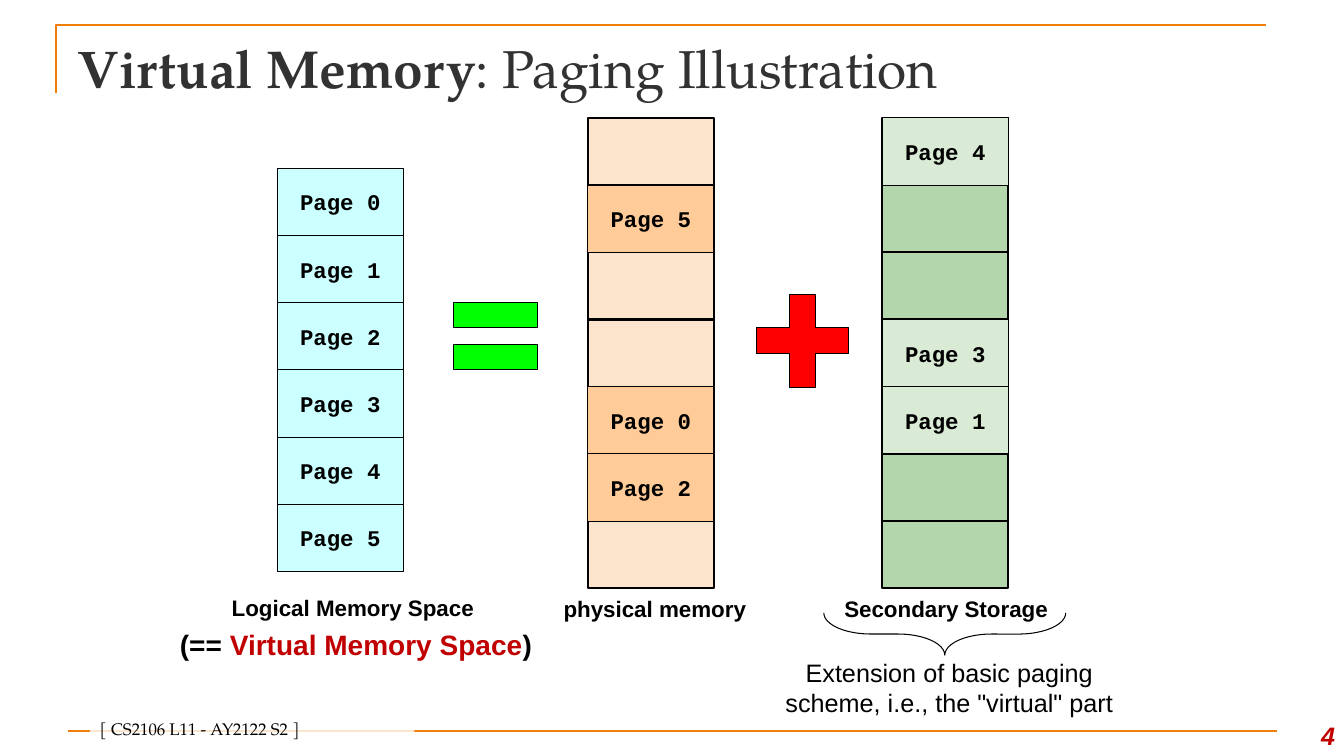
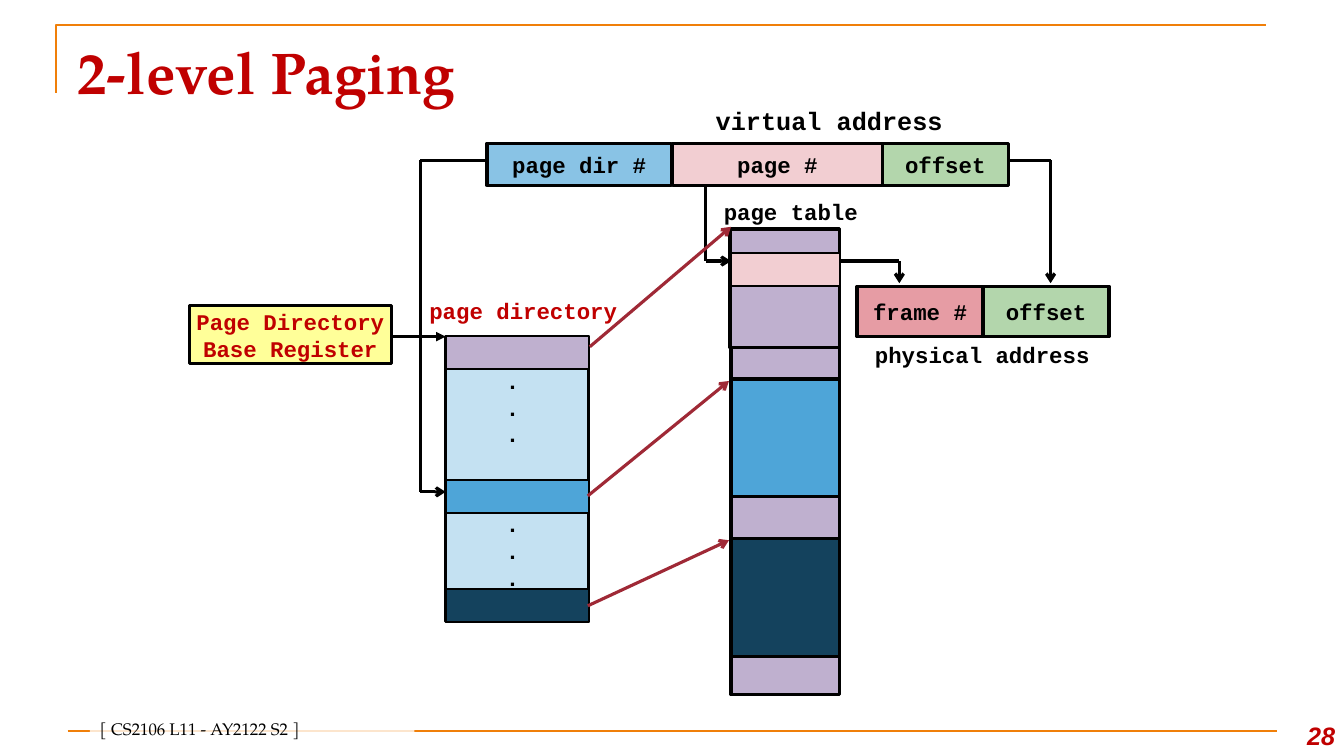
"""Build two lecture slides about virtual memory and paging."""
from dataclasses import dataclass, replace

from lxml.etree import SubElement
from pptx import Presentation
from pptx.dml.color import RGBColor
from pptx.enum.shapes import MSO_CONNECTOR, MSO_SHAPE
from pptx.enum.text import MSO_ANCHOR, MSO_AUTO_SIZE, PP_ALIGN
from pptx.oxml.ns import qn
from pptx.util import Inches, Pt

COLORS = {
    "black": "000000", "white": "FFFFFF", "orange": "F07F09", "title": "323232",
    "red": "C00000", "logical": "CCFFFF", "frame": "FDE5CD", "resident": "FFCC99",
    "storage": "B3D6AC", "stored": "D9EAD5", "plus": "FF0000", "equals": "00FF00",
    "lilac": "BFB0CF", "pink": "F2CED2", "rose": "E69CA4", "sky": "89C3E5",
    "pale": "C4E1F2", "blue": "4EA5D8", "navy": "14425D", "register": "FFFF99",
    "pointer": "9F2936",
}
TITLE_FONT = "TeX Gyre Pagella"
ROW = 2 / 3
CELL_WIDTH = 1.25


@dataclass(frozen=True)
class Style:
    """Character formatting."""
    size: float = 16
    font: str = "Arial"
    color: str = "black"
    bold: bool = True
    italic: bool = False


@dataclass(frozen=True)
class Box:
    """A filled preset shape with an outline and optional text."""
    left: float
    top: float
    width: float
    height: float
    fill: str | None
    text: str = ""
    line: float = 2.25
    color: str = "black"
    kind: MSO_SHAPE = MSO_SHAPE.RECTANGLE


@dataclass(frozen=True)
class Label:
    """A free-standing text."""
    left: float
    top: float
    width: float
    height: float
    text: str
    style: Style
    align: PP_ALIGN = PP_ALIGN.LEFT
    anchor: MSO_ANCHOR = MSO_ANCHOR.TOP
    wrap: bool = False


@dataclass(frozen=True)
class Route:
    """A chain of straight lines, optionally ending in an arrowhead."""
    points: tuple
    head: str | None = "arrow"
    color: str = "black"


@dataclass(frozen=True)
class Column:
    """A stack of equal memory cells, with the page held by each row."""
    left: float
    top: float
    pages: tuple
    page_fill: str
    frame_fill: str | None = None


BODY = Style()
CODE = Style(font="Courier New")
TITLE = Style(38, TITLE_FONT, "title")
NOTE = Style(18, bold=False)
FOOTER = Style(12, TITLE_FONT, bold=False)
NUMBER = Style(18, color="red", italic=True)


def rgb(name: str) -> RGBColor:
    """Look up a named colour."""
    return RGBColor.from_string(COLORS[name])


def apply_style(font, style: Style) -> None:
    """Set every property of a font."""
    font.size, font.name = Pt(style.size), style.font
    font.bold, font.italic = style.bold, style.italic
    font.color.rgb = rgb(style.color)


def set_frame(frame, anchor: MSO_ANCHOR, wrap: bool) -> None:
    """Set the anchor and wrapping of a text frame."""
    frame.auto_size = MSO_AUTO_SIZE.NONE
    frame.vertical_anchor, frame.word_wrap = anchor, wrap


def write(frame, text: str, style: Style, align=PP_ALIGN.CENTER,
          anchor=MSO_ANCHOR.MIDDLE, wrap: bool = False) -> None:
    """Fill a text frame with uniformly formatted paragraphs."""
    set_frame(frame, anchor, wrap)
    frame.text = text
    for paragraph in frame.paragraphs:
        paragraph.alignment = align
        apply_style(paragraph.font, style)


def write_runs(paragraph, runs: list[tuple[str, Style]], align: PP_ALIGN) -> None:
    """Fill a paragraph with differently formatted runs."""
    paragraph.alignment = align
    for text, style in runs:
        run = paragraph.add_run()
        run.text = text
        apply_style(run.font, style)


def add_box(slide, box: Box):
    """Draw a box and return its shape."""
    shape = slide.shapes.add_shape(
        box.kind, *map(Inches, (box.left, box.top, box.width, box.height)))
    shape.shadow.inherit = False
    if box.fill:
        shape.fill.solid()
        shape.fill.fore_color.rgb = rgb(box.fill)
    else:
        shape.fill.background()
    if box.line:
        shape.line.color.rgb = rgb("black")
        shape.line.width = Pt(box.line)
    else:
        shape.line.fill.background()
    if box.text:
        write(shape.text_frame, box.text, replace(CODE, color=box.color))
    return shape


def add_label(slide, label: Label) -> None:
    """Draw a text box."""
    shape = slide.shapes.add_textbox(
        *map(Inches, (label.left, label.top, label.width, label.height)))
    write(shape.text_frame, label.text, label.style, label.align, label.anchor, label.wrap)


def add_route(slide, route: Route, width: float = 2.25) -> None:
    """Draw connectors through the points of a route."""
    for start, end in zip(route.points, route.points[1:]):
        connector = slide.shapes.add_connector(
            MSO_CONNECTOR.STRAIGHT, *map(Inches, start + end))
        connector.line.color.rgb = rgb(route.color)
        connector.line.width = Pt(width)
        properties = connector._element.spPr
        SubElement(properties, qn("a:effectLst"))
        if route.head and end == route.points[-1]:
            SubElement(properties.find(qn("a:ln")), qn("a:tailEnd"), type=route.head)


def add_column(slide, column: Column) -> None:
    """Draw the frames of a column, then the pages in them."""
    tops = [column.top + ROW * row for row in range(len(column.pages))]
    if column.frame_fill:
        for top in tops:
            add_box(slide, Box(column.left, top, CELL_WIDTH, ROW, column.frame_fill, line=1.5))
    for top, page in zip(tops, column.pages):
        if page is not None:
            add_box(slide, Box(column.left, top, CELL_WIDTH, ROW, column.page_fill,
                               f"Page {page}", line=0.75))


def start_slide(presentation, title: list[tuple[str, Style]], number: int):
    """Add a slide with the shared frame, title, footer and number."""
    slide = presentation.slides.add_slide(presentation.slide_layouts[5])
    builder = slide.shapes.build_freeform(Inches(0.56), Inches(0.92))
    builder.add_line_segments(
        [(Inches(0.56), Inches(0.25)), (Inches(12.56), Inches(0.25))], close=False)
    corner = builder.convert_to_shape()
    corner.shadow.inherit = False
    corner.fill.background()
    corner.line.color.rgb = rgb("orange")
    corner.line.width = Pt(1.5)
    add_route(slide, Route(((0.67, 7.25), (12.67, 7.25)), None, "orange"), 1.5)

    heading = slide.shapes.title
    heading.left, heading.top, heading.width, heading.height = map(
        Inches, (0.67, 0.3, 12, 0.78))
    set_frame(heading.text_frame, MSO_ANCHOR.TOP, True)
    write_runs(heading.text_frame.paragraphs[0], title, PP_ALIGN.LEFT)

    footer = add_box(slide, Box(0.89, 7.13, 3.22, 0.25, "white", line=0))
    color = footer._element.spPr.find(qn("a:solidFill"))[0]
    SubElement(color, qn("a:alpha"), val="80000")
    write(footer.text_frame, "[ CS2106 L11 - AY2122 S2 ]", FOOTER,
          PP_ALIGN.LEFT, MSO_ANCHOR.BOTTOM, True)
    add_label(slide, Label(12.56, 7, 0.78, 0.5, str(number), NUMBER,
                           PP_ALIGN.RIGHT, MSO_ANCHOR.BOTTOM, True))
    return slide


def build_illustration(presentation) -> None:
    """Show logical memory as physical memory plus secondary storage."""
    slide = start_slide(presentation, [
        ("Virtual Memory", TITLE),
        (": Paging Illustration", replace(TITLE, bold=False))], 4)
    for column in (
        Column(2.75, 1.67, tuple(range(6)), "logical"),
        Column(5.83, 1.17, (None, 5, None, None, 0, 2, None), "resident", "frame"),
        Column(8.75, 1.17, (4, None, None, 3, 1, None, None), "stored", "storage"),
    ):
        add_column(slide, column)
    for top in (3, 3.42):
        add_box(slide, Box(4.5, top, 0.83, 0.25, "equals", line=0.75))
    plus = add_box(slide, Box(7.5, 2.92, 0.92, 0.92, "plus", line=0.75, kind=MSO_SHAPE.CROSS))
    plus.adjustments[0] = 0.36
    brace = add_box(slide, Box(9.16, 5.09, 0.42, 2.4, None, line=0.75,
                               kind=MSO_SHAPE.RIGHT_BRACE))
    brace.adjustments[0] = 1.11
    brace.rotation = 90
    for left, width, height, text in (
        (2, 3, 0.39, "Logical Memory Space"),
        (5.33, 2.33, 0.42, "physical memory"),
        (8.25, 2.33, 0.42, "Secondary Storage "),
    ):
        add_label(slide, Label(left, 5.83, width, height, text, BODY,
                               PP_ALIGN.CENTER, MSO_ANCHOR.MIDDLE, True))
    add_label(slide, Label(7.58, 6.47, 3.67, 0.7,
                           'Extension of basic paging scheme, i.e., the "virtual" part',
                           NOTE, PP_ALIGN.CENTER, wrap=True))
    equivalence = slide.shapes.add_textbox(*map(Inches, (1.56, 6.02, 3.94, 0.75)))
    set_frame(equivalence.text_frame, MSO_ANCHOR.MIDDLE, True)
    large = replace(BODY, size=20)
    write_runs(equivalence.text_frame.paragraphs[0], [
        ("(== ", large), ("Virtual Memory Space", replace(large, color="red")),
        (")", large)], PP_ALIGN.CENTER)


def build_two_level(presentation) -> None:
    """Show address translation through a directory and a page table."""
    slide = start_slide(
        presentation, [("2-level Paging", replace(TITLE, size=42, color="red"))], 28)
    for box in (
        Box(7.25, 2.27, 1.08, 4.62, "lilac"),
        Box(7.24, 2.28, 1.09, 1.17, "lilac"),
        Box(7.25, 2.51, 1.08, 0.33, "pink", line=1.5),
        Box(7.25, 3.76, 1.08, 1.17, "blue"),
        Box(7.25, 5.34, 1.08, 1.17, "navy"),
        Box(4.42, 3.34, 1.42, 2.83, "pale"),
        Box(4.42, 3.33, 1.42, 0.33, "lilac", line=1.5),
        Box(4.42, 4.76, 1.42, 0.33, "blue", line=1.5),
        Box(4.42, 5.84, 1.42, 0.33, "navy", line=1.5),
        Box(8.75, 1.42, 1.25, 0.42, "storage", "offset"),
        Box(4.83, 1.42, 1.83, 0.42, "sky", "page dir #"),
        Box(6.67, 1.42, 2.08, 0.42, "pink", "page #"),
        Box(9.75, 2.84, 1.25, 0.5, "storage", "offset"),
        Box(8.5, 2.84, 1.25, 0.5, "rose", "frame #"),
        Box(1.88, 3.03, 2, 0.58, "register", "Page Directory\nBase Register", color="red"),
    ):
        add_box(slide, box)
    for route in (
        Route(((3.88, 3.34), (4.42, 3.34)), "triangle"),
        Route(((4.83, 1.59), (4.17, 1.59), (4.17, 4.88), (4.42, 4.88))),
        Route(((7, 1.84), (7, 2.59), (7.25, 2.59))),
        Route(((8.33, 2.59), (8.92, 2.59), (8.92, 2.81))),
        Route(((10, 1.59), (10.42, 1.59), (10.42, 2.81))),
        Route(((5.85, 3.44), (7.25, 2.25)), color="pointer"),
        Route(((5.83, 4.92), (7.23, 3.78)), color="pointer"),
        Route(((5.83, 6.01), (7.23, 5.36)), color="pointer"),
    ):
        add_route(slide, route)
    for label in (
        Label(7, 1, 2.46, 0.4, "virtual address", replace(CODE, size=18)),
        Label(8.58, 3.34, 2.36, 0.37, "physical address", CODE),
        Label(7.08, 1.92, 1.55, 0.37, "page table", CODE),
        Label(4.16, 2.9, 2.09, 0.37, "page directory", replace(CODE, color="red")),
        Label(4.92, 3.59, 0.25, 0.93, ".\n.\n.", CODE, wrap=True),
        Label(4.92, 5.01, 0.25, 0.93, ".\n.\n.", CODE, wrap=True),
    ):
        add_label(slide, label)


def main() -> None:
    """Build and save the presentation."""
    presentation = Presentation()
    presentation.slide_width, presentation.slide_height = Inches(13.33), Inches(7.5)
    build_illustration(presentation)
    build_two_level(presentation)
    presentation.save("out.pptx")


main()
